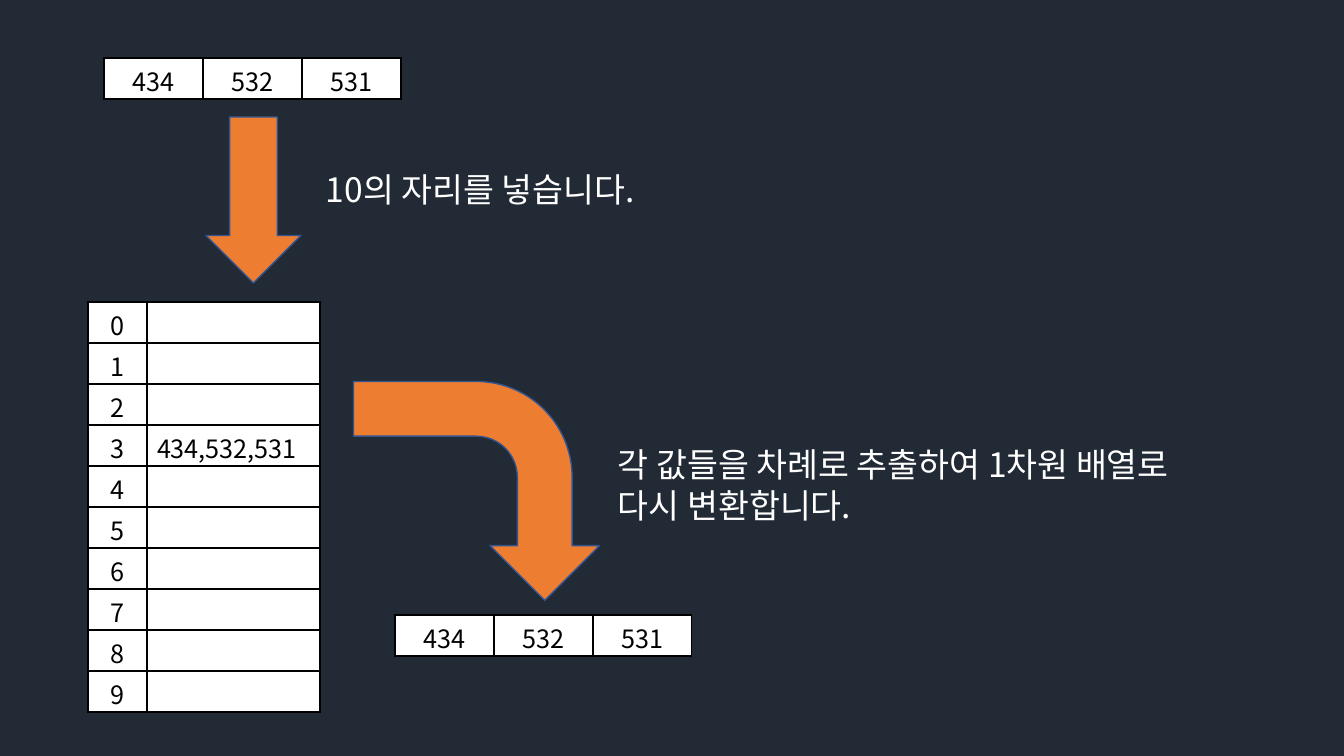
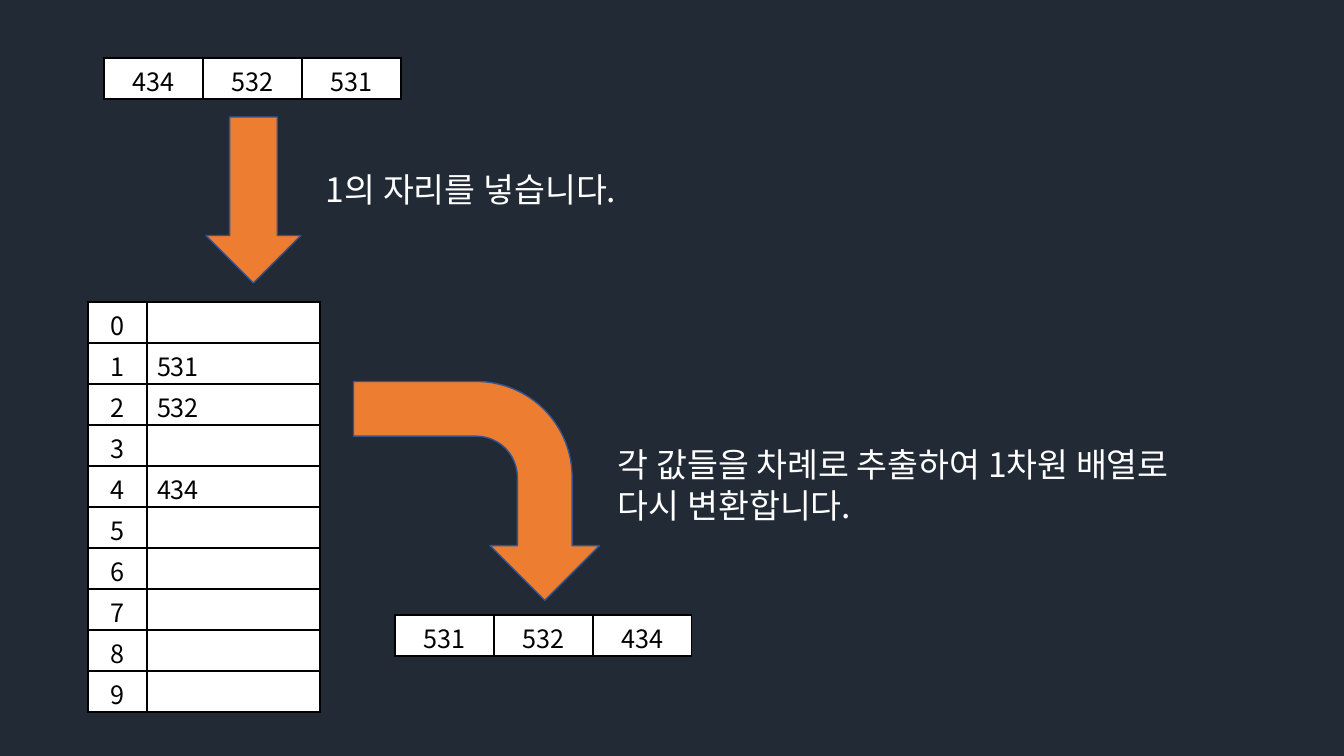
from lxml.etree import SubElement
from pptx import Presentation
from pptx.dml.color import RGBColor
from pptx.enum.shapes import MSO_SHAPE as Preset
from pptx.enum.text import MSO_AUTO_SIZE as AutoSize, PP_ALIGN as Align
from pptx.oxml.ns import qn
from pptx.util import Emu, Pt

COLORS = {
    "background": "222A35",
    "arrow": "ED7D31",
    "outline": "325491",
    "light": "FFFFFF",
    "dark": "000000",
}
FONT = "Noto Sans CJK KR"
ROW_HEIGHT = 41


def px(length):
    return Emu(round(length * 914400 / 100.8))


def color(name):
    return RGBColor.from_string(COLORS[name])


class Deck:
    def __init__(self):
        self.show = Presentation()
        self.show.slide_width = px(1344)
        self.show.slide_height = px(756)
        self.slide = None

    def new_slide(self):
        self.slide = self.show.slides.add_slide(self.show.slide_layouts[6])
        fill = self.slide.background.fill
        fill.solid()
        fill.fore_color.rgb = color("background")

    def run(self, paragraph, words, size, ink):
        run = paragraph.add_run()
        run.text = words
        run.font.size = Pt(size)
        run.font.name = FONT
        run.font.color.rgb = color(ink)
        SubElement(run.font._element, qn("a:ea"), typeface=FONT)

    def text(self, x, y, width, height, lines):
        box = self.slide.shapes.add_textbox(px(x), px(y), px(width), px(height))
        frame = box.text_frame
        frame.word_wrap = True
        frame.auto_size = AutoSize.SHAPE_TO_FIT_TEXT
        frame.margin_top, frame.margin_bottom = px(7), px(3)
        for index, line in enumerate(lines):
            paragraph = frame.add_paragraph() if index else frame.paragraphs[0]
            paragraph.line_spacing = Pt(29.2)
            self.run(paragraph, line, 24, "light")

    def arrow(self, preset, x, y, width, height, rotation=0):
        arrow = self.slide.shapes.add_shape(preset, px(x), px(y), px(width), px(height))
        arrow.rotation = rotation
        arrow.shadow.inherit = False
        arrow.fill.solid()
        arrow.fill.fore_color.rgb = color("arrow")
        arrow.line.color.rgb = color("outline")
        arrow.line.width = Pt(1)

    def borders(self, cell):
        properties = cell._tc.get_or_add_tcPr()
        for position, side in enumerate(("a:lnL", "a:lnR", "a:lnT", "a:lnB")):
            line = SubElement(properties, qn(side), w=str(Pt(1)))
            solid = SubElement(line, qn("a:solidFill"))
            SubElement(solid, qn("a:srgbClr"), val=COLORS["dark"])
            properties.insert(position, line)

    def table(self, x, y, widths, rows, aligns):
        table = self.slide.shapes.add_table(
            len(rows), len(widths), px(x), px(y),
            px(sum(widths)), px(ROW_HEIGHT * len(rows))).table
        table.first_row = table.horz_banding = False
        for column, width in zip(table.columns, widths):
            column.width = px(width)
        for r, values in enumerate(rows):
            table.rows[r].height = px(ROW_HEIGHT)
            for c, value in enumerate(values):
                cell = table.cell(r, c)
                cell.margin_top, cell.margin_bottom = px(4), 0
                cell.fill.solid()
                cell.fill.fore_color.rgb = color("light")
                self.borders(cell)
                if value:
                    paragraph = cell.text_frame.paragraphs[0]
                    paragraph.alignment = aligns[c]
                    self.run(paragraph, value, 18, "dark")

    def array(self, x, y, values):
        self.table(x, y, [99] * len(values), [values], [Align.CENTER] * len(values))

    def buckets(self, x, y, contents):
        rows = [(str(digit), contents.get(digit, "")) for digit in range(10)]
        self.table(x, y, [59, 173], rows, [Align.CENTER, Align.LEFT])

    def sorting_step(self, place, contents, before, after):
        self.new_slide()
        self.text(316, 161, 1192, 50, [f"{place}의 자리를 넣습니다."])
        self.arrow(Preset.DOWN_ARROW, 206, 117, 95, 166)
        self.buckets(88, 302, contents)
        self.arrow(Preset.BENT_ARROW, 367, 368, 219, 246, 90)
        self.text(608, 436, 682, 92,
                  ["각 값들을 차례로 추출하여 1차원 배열로", "다시 변환합니다."])
        self.array(104, 58, before)
        self.array(395, 615, after)


deck = Deck()
start = ["434", "532", "531"]
deck.sorting_step(10, {3: ",".join(start)}, start, start)
deck.sorting_step(1, {1: "531", 2: "532", 4: "434"}, start, ["531", "532", "434"])
deck.show.save("out.pptx")
